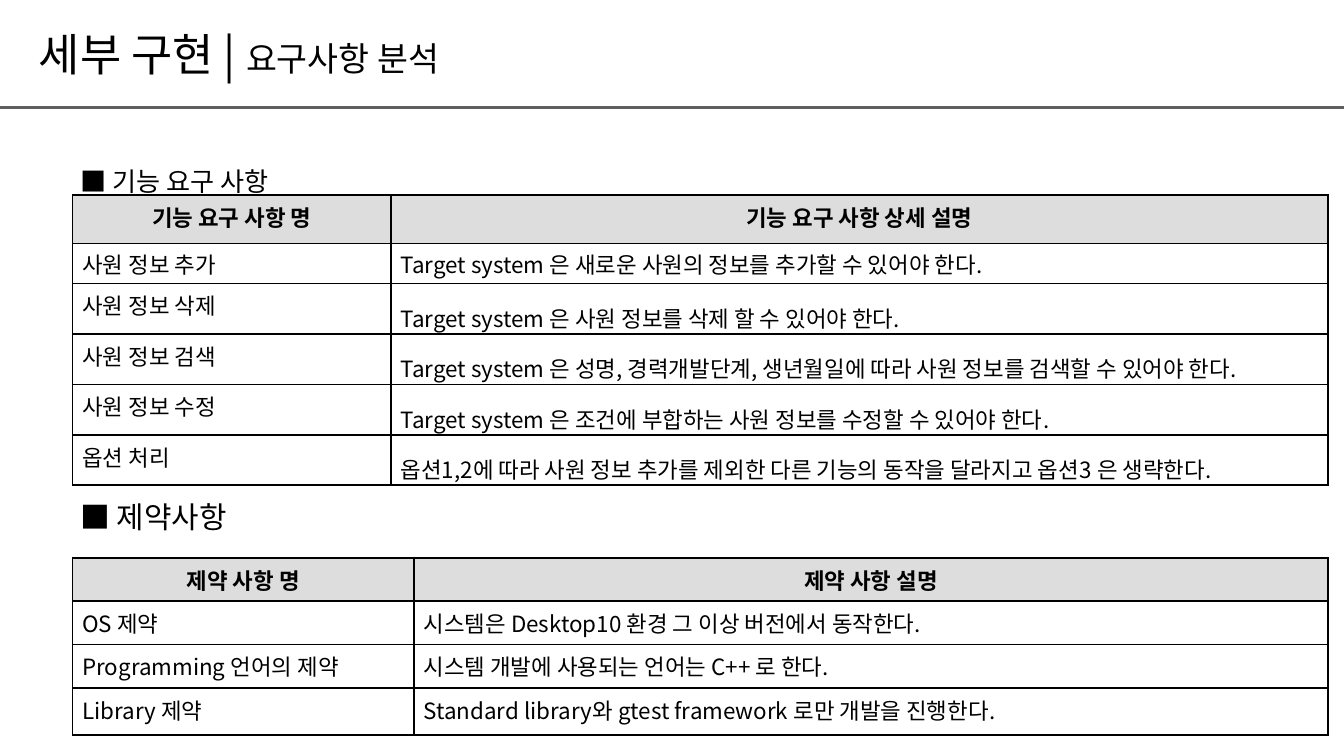
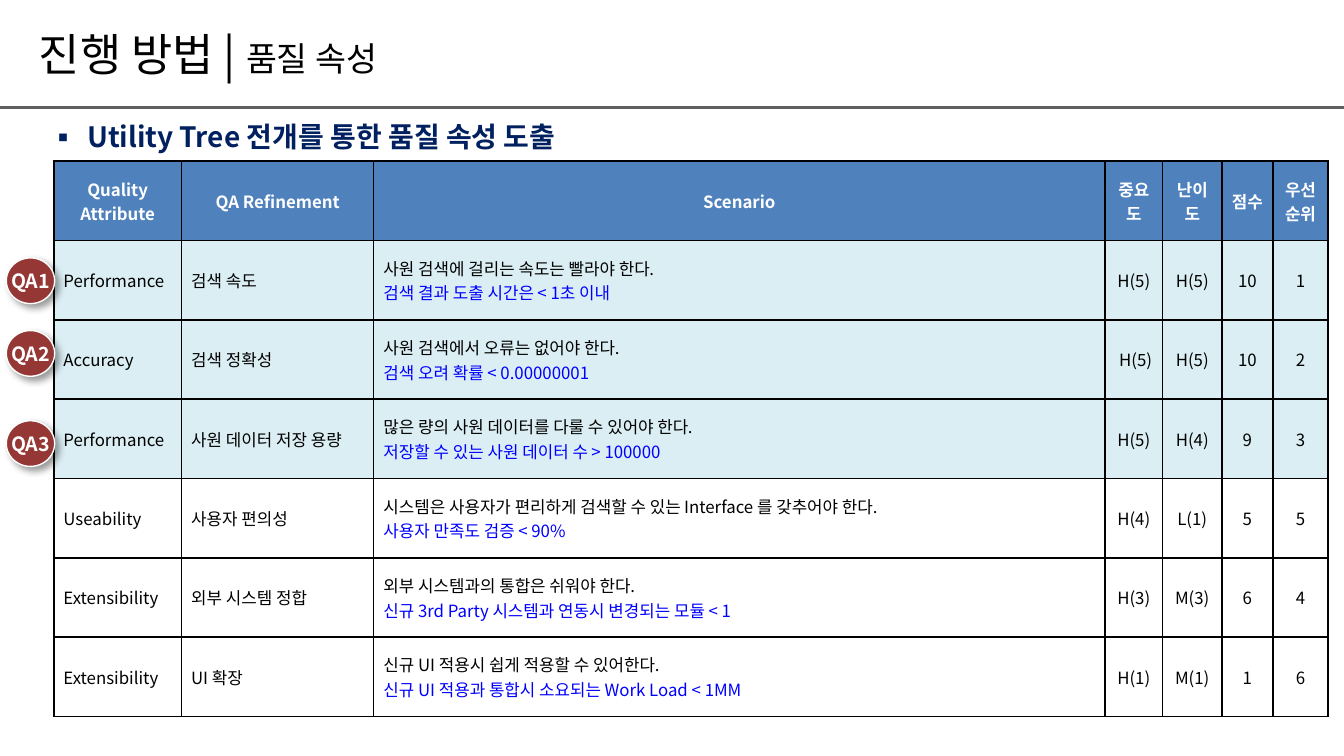
from lxml import etree
from pptx import Presentation
from pptx.dml.color import RGBColor
from pptx.enum.shapes import MSO_CONNECTOR, MSO_SHAPE
from pptx.enum.text import MSO_ANCHOR, MSO_AUTO_SIZE, PP_ALIGN
from pptx.oxml.ns import qn
from pptx.util import Pt

LEFT, CENTER = PP_ALIGN.LEFT, PP_ALIGN.CENTER
TOP, MIDDLE = MSO_ANCHOR.TOP, MSO_ANCHOR.MIDDLE
FIXED = MSO_AUTO_SIZE.NONE
LINE, OVAL = MSO_CONNECTOR.STRAIGHT, MSO_SHAPE.OVAL

FONT = "Noto Sans CJK KR"
WIDTH, HEIGHT = 720, 405
BLACK, WHITE = "000000", "FFFFFF"
RULE, GREY = "5F5F5F", "DDDDDD"
NAVY, BLUE, STEEL, ICE, RED = "002060", "0000FF", "4F81BD", "DBEEF4", "953735"

NEEDS = [
    ("기능 요구 사항 명", "기능 요구 사항 상세 설명"),
    ("사원 정보 추가", "Target system 은 새로운 사원의 정보를 추가할 수 있어야 한다."),
    ("사원 정보 삭제", "Target system 은 사원 정보를 삭제 할 수 있어야 한다."),
    ("사원 정보 검색", "Target system 은 성명, 경력개발단계, 생년월일에 따라 "
     "사원 정보를 검색할 수 있어야 한다."),
    ("사원 정보 수정", "Target system 은 조건에 부합하는 사원 정보를 수정할 수 있어야 한다."),
    ("옵션 처리", "옵션1,2에 따라 사원 정보 추가를 제외한 다른 기능의 동작을 달라지고 "
     "옵션3 은 생략한다."),
]
LIMITS = [
    ("제약 사항 명", "제약 사항 설명"),
    ("OS 제약", "시스템은 Desktop10 환경 그 이상 버전에서 동작한다."),
    ("Programming 언어의 제약", "시스템 개발에 사용되는 언어는 C++ 로 한다."),
    ("Library 제약", "Standard library와 gtest framework 로만 개발을 진행한다."),
]
GOALS = [
    ("Quality\nAttribute", "QA Refinement", "Scenario", "중요도", "난이도", "점수", "우선순위"),
    ("Performance", "검색 속도",
     "사원 검색에 걸리는 속도는 빨라야 한다.\n검색 결과 도출 시간은 < 1초 이내",
     "H(5)", "H(5)", "10", "1"),
    ("Accuracy", "검색 정확성",
     "사원 검색에서 오류는 없어야 한다.\n검색 오려 확률 < 0.00000001",
     " H(5)", "H(5)", "10", "2"),
    ("Performance", "사원 데이터 저장 용량",
     "많은 량의 사원 데이터를 다룰 수 있어야 한다.\n저장할 수 있는 사원 데이터 수 > 100000",
     "H(5)", "H(4)", "9", "3"),
    ("Useability", "사용자 편의성",
     "시스템은 사용자가 편리하게 검색할 수 있는 Interface 를 갖추어야 한다.\n"
     "사용자 만족도 검증 < 90%",
     "H(4)", "L(1)", "5", "5"),
    ("Extensibility", "외부 시스템 정합",
     "외부 시스템과의 통합은 쉬워야 한다.\n신규 3rd Party 시스템과 연동시 변경되는 모듈 < 1",
     "H(3)", "M(3)", "6", "4"),
    ("Extensibility", "UI 확장",
     "신규 UI 적용시 쉽게 적용할 수 있어한다.\n신규 UI 적용과 통합시 소요되는 Work Load < 1MM",
     "H(1)", "M(1)", "1", "6"),
]


def color(text):
    return RGBColor.from_string(text)


def node(parent, tag, **attrs):
    return etree.SubElement(parent, qn(tag), attrs)


def style(para, size, tone=BLACK, bold=False, align=LEFT):
    para.alignment = align
    font = para.font
    font.name, font.size, font.bold = FONT, Pt(size), bold
    font.color.rgb = color(tone)
    for latin in para._p.iter(qn("a:latin")):
        latin.getparent().set("kern", "0")
        east = etree.Element(qn("a:ea"), typeface=FONT)
        latin.addnext(east)


def setup(frame, pad, anchor=MIDDLE, wrap=True):
    """Fix a text frame's size, side and top insets, anchor and wrapping."""
    frame.auto_size = FIXED
    frame.word_wrap = wrap
    frame.vertical_anchor = anchor
    frame.margin_left = frame.margin_right = Pt(pad[0])
    frame.margin_top = frame.margin_bottom = Pt(pad[1])


def head(deck, topic, part):
    """Add a slide with its two-size title and the rule below."""
    slide = deck.slides.add_slide(deck.slide_layouts[5])
    title = slide.shapes.title
    title.left, title.top = Pt(14.4), Pt(10.8)
    title.width, title.height = Pt(504.7), Pt(35.3)
    frame = title.text_frame
    setup(frame, (6.5, 2.9))
    para = frame.paragraphs[0]
    for text, size in ((f"{topic} | ", 24), (part, 18)):
        run = para.add_run()
        run.text = text
        run.font.size = Pt(size)
    style(para, 24)

    rule = slide.shapes.add_connector(LINE, 0, Pt(57.6), Pt(WIDTH), Pt(57.6))
    rule.line.color.rgb = color(RULE)
    rule.line.width = Pt(2)
    node(rule._element.spPr, "a:effectLst")
    return slide


def label(slide, box, pad, anchor=MIDDLE):
    frame = slide.shapes.add_textbox(*map(Pt, box)).text_frame
    setup(frame, pad, anchor)
    return frame


def border(cell):
    props = cell._tc.get_or_add_tcPr()
    for side in "LRTB":
        line = node(props, f"a:ln{side}", w=str(Pt(1)))
        fill = node(line, "a:solidFill")
        node(fill, "a:srgbClr", val=BLACK)


def grid(slide, left, top, cols, rows, data, size, fills, ink=BLACK,
         anchor=TOP, mid=()):
    """Draw a table; fills holds one colour per row, mid the centred columns."""
    box = map(Pt, (left, top, sum(cols), sum(rows)))
    table = slide.shapes.add_table(len(rows), len(cols), *box).table
    table.first_row = table.horz_banding = False
    for col, width in zip(table.columns, cols):
        col.width = Pt(width)
    for r, (row, height) in enumerate(zip(table.rows, rows)):
        row.height = Pt(height)
        for c, cell in enumerate(row.cells):
            border(cell)
            cell.fill.solid()
            cell.fill.fore_color.rgb = color(fills[r])
            cell.vertical_anchor = anchor
            cell.margin_left = cell.margin_right = Pt(5.2)
            cell.margin_top = cell.margin_bottom = Pt(2.9)
            cell.text = data[r][c]
            for n, para in enumerate(cell.text_frame.paragraphs):
                tone = ink if r == 0 else BLUE if n else BLACK
                align = CENTER if r == 0 or c in mid else LEFT
                style(para, size, tone, r == 0, align)
    return table


def badge(slide, left, top, text):
    oval = slide.shapes.add_shape(OVAL, Pt(left), Pt(top), Pt(25.9), Pt(24.5))
    oval.fill.solid()
    oval.fill.fore_color.rgb = color(RED)
    oval.line.color.rgb = color(WHITE)
    oval.line.width = Pt(0.75)
    oval.shadow.inherit = False
    glow = node(oval._element.spPr.find(qn("a:effectLst")), "a:outerShdw",
                blurRad=str(Pt(4)), dist=str(Pt(3)), dir="2700000",
                algn="tl", rotWithShape="0")
    tint = node(glow, "a:srgbClr", val=BLACK)
    node(tint, "a:alpha", val="40000")
    frame = oval.text_frame
    setup(frame, (7.2, 5), wrap=False)
    frame.text = text
    style(frame.paragraphs[0], 10.5, WHITE, True, CENTER)


def needs(deck):
    slide = head(deck, "세부 구현", "요구사항 분석")
    for top, text, size in ((82, "■ 기능 요구 사항", 14), (261.5, "■ 제약사항", 16)):
        frame = label(slide, (36, top, 675.4, 30), (7.2, 3.6))
        frame.text = text
        style(frame.paragraphs[0], size)

    rows = [26, 21.5] + [27] * 4
    table = grid(slide, 38.9, 104.4, (170.6, 501.9), rows, NEEDS, 12,
                 [GREY] + [WHITE] * 5)
    for cell in table.rows[1].cells:
        cell.margin_top = cell.margin_bottom = Pt(2)
    for r in range(2, len(rows)):
        cell = table.cell(r, 1)
        cell.margin_top, cell.margin_bottom = Pt(0.9), 0
        cell.text_frame.paragraphs[0].line_spacing = 1.5
    grid(slide, 38.9, 298.8, (182.9, 489.6), (23, 23, 23, 25.2), LIMITS, 12,
         [GREY] + [WHITE] * 3)


def goals(deck):
    slide = head(deck, "진행 방법", "품질 속성")
    frame = label(slide, (19.4, 60.5, 675.4, 25.2), (7.2, 3.6))
    frame.text = "Utility Tree 전개를 통한 품질 속성 도출"
    para = frame.paragraphs[0]
    props = para._p.get_or_add_pPr()
    props.set("marL", str(Pt(20.2)))
    props.set("indent", str(Pt(-20.2)))
    node(props, "a:buFont", typeface=FONT)
    node(props, "a:buChar", char="▪")
    style(para, 15, NAVY, True)

    cols = (68.4, 103, 391.7, 31, 31.7, 27.4, 29.5)
    grid(slide, 28.8, 86.4, cols, [42.5] * 7, GOALS, 9,
         [STEEL] + [ICE] * 3 + [WHITE] * 3, WHITE, MIDDLE, range(3, 7))
    for n, top in enumerate((138.2, 177.1, 225.4), 1):
        badge(slide, 3.4, top, f"QA{n}")


def main():
    deck = Presentation()
    deck.slide_width, deck.slide_height = Pt(WIDTH), Pt(HEIGHT)
    needs(deck)
    goals(deck)
    deck.save("out.pptx")


if __name__ == "__main__":
    main()
